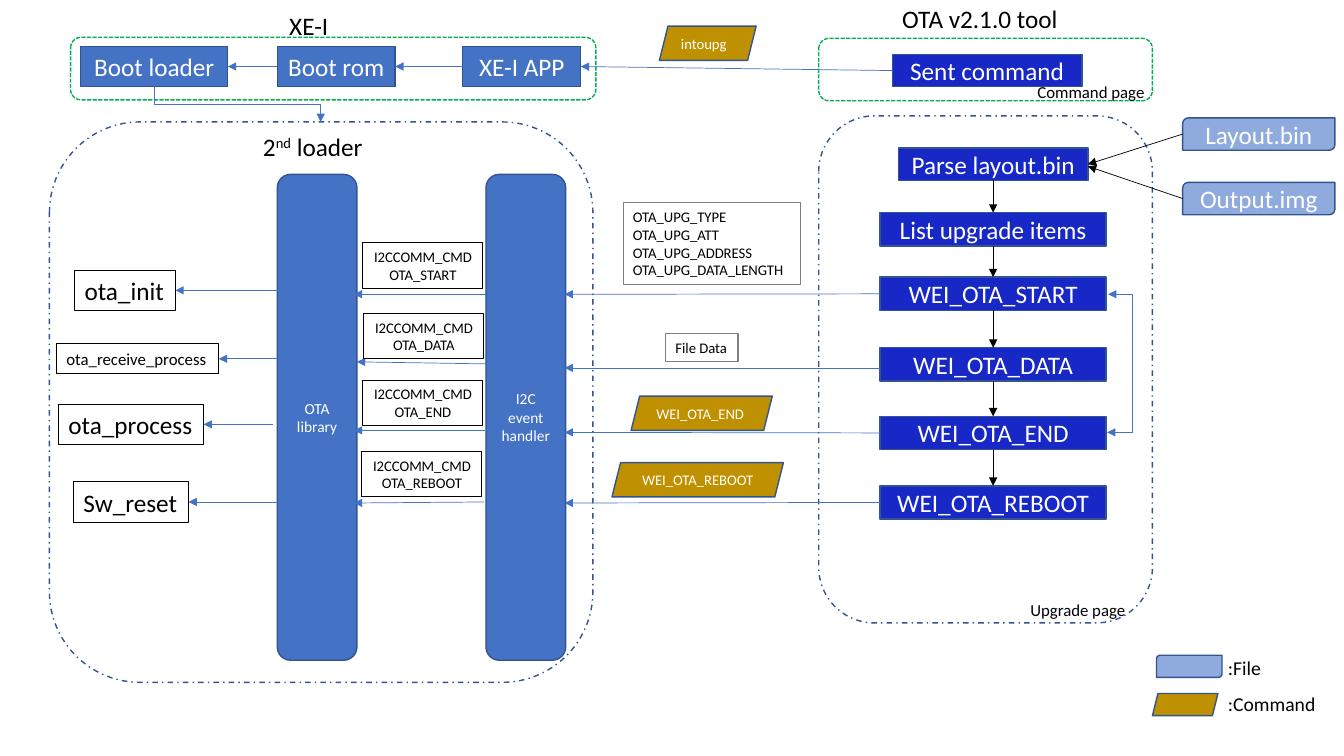
import lxml.etree
import pptx
import pptx.dml.color
import pptx.enum.dml
import pptx.enum.shapes
import pptx.enum.text
import pptx.oxml.ns
import pptx.util

Inches, Pt, qn = pptx.util.Inches, pptx.util.Pt, pptx.oxml.ns.qn
KIND = pptx.enum.shapes.MSO_SHAPE
LINK = pptx.enum.shapes.MSO_CONNECTOR
DASH = pptx.enum.dml.MSO_LINE
ALIGN = pptx.enum.text.PP_ALIGN
ANCHOR = pptx.enum.text.MSO_ANCHOR
GROW = pptx.enum.text.MSO_AUTO_SIZE.SHAPE_TO_FIT_TEXT

BLUE, NAVY, BLACK, WHITE, GRAY = "4472C4", "325491", "000000", "FFFFFF", "808080"
TOP, LEFT, BOTTOM, RIGHT = range(4)


def hue(code):
    return pptx.dml.color.RGBColor.from_string(code)


class Board:
    font = "Calibri"
    solid = {"word_wrap": True, "vertical_anchor": ANCHOR.MIDDLE}
    loose = {"word_wrap": False, "auto_size": GROW}

    def __init__(self, slide):
        self.shapes = slide.shapes

    def letter(self, shape, text, size, color, align, frame):
        """Fill a shape with text; parts between ^ marks are raised."""
        body = shape.text_frame
        for name, value in frame.items():
            setattr(body, name, value)
        for i, row in enumerate(text.split("\n")):
            para = body.add_paragraph() if i else body.paragraphs[0]
            para.alignment = align
            for j, part in enumerate(row.split("^")):
                run = para.add_run()
                run.text = part
                look = {"name": self.font, "size": Pt(size), "bold": False}
                for name, value in look.items():
                    setattr(run.font, name, value)
                run.font.color.rgb = hue(color)
                if j % 2:
                    run.font._element.set("baseline", "30000")

    def shape(self, kind, at, fill=None, edge=NAVY, width=1, dash=None):
        shape = self.shapes.add_shape(kind, *map(Inches, at))
        shape.shadow.inherit = False
        if fill:
            shape.fill.solid()
            shape.fill.fore_color.rgb = hue(fill)
        else:
            shape.fill.background()
        if edge:
            shape.line.color.rgb = hue(edge)
            shape.line.width = Pt(width)
            if dash:
                shape.line.dash_style = dash
        else:
            shape.line.fill.background()
        return shape

    def block(self, kind, at, fill, text, size=18, align=ALIGN.CENTER):
        shape = self.shape(kind, at, fill)
        self.letter(shape, text, size, WHITE, align, self.solid)
        return shape

    def note(self, at, text, size=18, edge=BLACK, fill=None, align=ALIGN.LEFT):
        shape = self.shape(KIND.RECTANGLE, at, fill, edge, 0.75)
        self.letter(shape, text, size, BLACK, align, self.loose)
        return shape

    def label(self, at, text, size=18):
        box = self.shapes.add_textbox(*map(Inches, at))
        self.letter(box, text, size, BLACK, ALIGN.LEFT, self.loose)

    def arrow(self, start, end, color=BLUE, kind=LINK.STRAIGHT, ends=("tailEnd",)):
        """Draw an arrow; each end is a point or a (shape, side) pair."""
        fixed = [isinstance(p[0], (int, float)) for p in (start, end)]
        spots = [p if f else (0, 0) for p, f in zip((start, end), fixed)]
        link = self.shapes.add_connector(kind, *map(Inches, spots[0] + spots[1]))
        if not fixed[0]:
            link.begin_connect(*start)
        if not fixed[1]:
            link.end_connect(*end)
        link.line.color.rgb = hue(color)
        link.line.width = Pt(0.5)
        for name in ends:
            tip = lxml.etree.SubElement(link.line._get_or_add_ln(), qn("a:" + name))
            tip.set("type", "triangle")
        lxml.etree.SubElement(link._element.spPr, qn("a:effectLst"))
        return link


def draw_tool(board):
    """Draw the tool on the right; return the boxes that send to the device."""
    board.shape(KIND.ROUNDED_RECTANGLE, (8.12, 1.15, 3.31, 5.03), dash=DASH.DASH_DOT)
    board.shape(KIND.ROUNDED_RECTANGLE, (8.12, 0.38, 3.31, 0.62),
                edge="00B050", dash=DASH.SQUARE_DOT)
    board.label((8.85, -0.02, 1.76, 0.4), "OTA v2.1.0 tool")

    deep = "1728C7"
    sent = board.block(KIND.RECTANGLE, (8.85, 0.54, 1.88, 0.32), deep, "Sent command")
    last = board.block(KIND.RECTANGLE, (8.91, 1.47, 1.88, 0.32), deep, "Parse layout.bin")
    for y, name, goal in ((1.17, "Layout.bin", (last, RIGHT)),
                          (1.81, "Output.img", (10.79, 1.65))):
        board.block(KIND.ROUND_2_DIAG_RECTANGLE, (11.73, y, 1.51, 0.32), "8FAADC", name)
        board.arrow((11.73, y + 0.16), goal, BLACK)

    steps = {}
    for y, name in ((2.11, "List upgrade items"), (2.75, "WEI_OTA_START"),
                    (3.45, "WEI_OTA_DATA"), (4.13, "WEI_OTA_END"),
                    (4.82, "WEI_OTA_REBOOT")):
        step = board.block(KIND.RECTANGLE, (8.73, y, 2.24, 0.33), deep, name)
        board.arrow((last, BOTTOM), (step, TOP), BLACK)
        steps[name] = last = step

    loop = board.arrow((10.98, 4.29), (10.99, 2.92), kind=LINK.ELBOW,
                       ends=("headEnd", "tailEnd"))
    bend = lxml.etree.SubElement(loop._element.spPr.find(".//" + qn("a:avLst")), qn("a:gd"))
    bend.set("name", "adj1")
    bend.set("fmla", "val 2500000")

    board.label((10.19, 0.76, 1.28, 0.3), "Command page", 12)
    board.label((10.12, 5.9, 1.15, 0.3), "Upgrade page", 12)
    return sent, steps


def draw_device(board, sent):
    """Draw the boot chain and the second loader on the left."""
    board.shape(KIND.ROUNDED_RECTANGLE, (0.49, 1.21, 5.39, 5.56), dash=DASH.DASH_DOT)
    board.shape(KIND.ROUNDED_RECTANGLE, (0.7, 0.37, 5.21, 0.62),
                edge="00B050", dash=DASH.SQUARE_DOT)
    board.label((2.77, 0.05, 0.75, 0.4), "XE-I")
    board.note((2.51, 1.25, 1.22, 0.4), "2^nd^ loader", edge=None, fill=WHITE)

    last = sent
    for x, width, name in ((4.59, 1.17, "XE-I APP"), (2.75, 1.17, "Boot rom"),
                           (0.8, 1.46, "Boot loader")):
        stage = board.block(KIND.RECTANGLE, (x, 0.46, width, 0.4), BLUE, name)
        board.arrow((last, LEFT), (stage, RIGHT))
        last = stage
    # The elbow leaves downwards, so its frame is turned by 270 degrees.
    drop = board.arrow((2.53, 0.21), (2.18, 1.86), kind=LINK.ELBOW)
    drop._element.spPr.find(qn("a:xfrm")).set("rot", str(270 * 60000))

    for x, name in ((2.75, "OTA\nlibrary"), (4.82, "I2C event handler")):
        board.block(KIND.ROUNDED_RECTANGLE, (x, 1.73, 0.79, 4.82), BLUE, name, 11)

    for x, y, width, height, name, size, start in (
            (0.74, 2.68, 1, 0.4, "ota_init", 18, 2.77),
            (0.56, 3.41, 1.61, 0.3, "ota_receive_process", 12, 2.75),
            (0.58, 4.01, 1.44, 0.4, "ota_process", 18, 2.71),
            (0.73, 4.78, 1.14, 0.4, "Sw_reset", 18, 2.75)):
        call = board.note((x, y, width, height), name, size)
        board.arrow((start, y + height / 2), (call, RIGHT))

    for x, y, name, start, end in (
            (3.6, 2.41, "START", (4.82, 2.92), (3.51, 2.92)),
            (3.61, 3.11, "DATA", (4.82, 3.61), (3.54, 3.59)),
            (3.6, 3.77, "END", (4.81, 4.27), (3.51, 4.27)),
            (3.59, 4.48, "REBOOT", (4.8, 4.98), (3.51, 4.99))):
        board.arrow(start, end)
        board.note((x, y, 1.19, 0.45), "I2CCOMM_CMD\nOTA_" + name, 10.5,
                   align=ALIGN.CENTER)


def draw_traffic(board, steps):
    """Draw what passes between the tool and the device."""
    for name, y in (("START", 2.92), ("END", 4.29), ("REBOOT", 4.99)):
        board.arrow((steps["WEI_OTA_" + name], LEFT), (5.6, y))
    board.arrow((8.73, 3.65), (5.6, 3.65))

    fields = "OTA_UPG_TYPE\nOTA_UPG_ATT\nOTA_UPG_ADDRESS\nOTA_UPG_DATA_LENGTH"
    board.note((6.18, 2.01, 1.76, 0.81), fields, 10.5, GRAY)
    board.note((6.6, 3.31, 0.72, 0.28), "File Data", 10.5, GRAY)
    for x, y, width, name, align in ((6.54, 0.26, 0.96, "intoupg", ALIGN.LEFT),
                                     (6.26, 3.93, 1.4, "WEI_OTA_END", ALIGN.LEFT),
                                     (6.07, 4.59, 1.7, "WEI_OTA_REBOOT", ALIGN.CENTER)):
        board.block(KIND.PARALLELOGRAM, (x, y, width, 0.34), "BF9000", name, 10.5, align)


def draw_legend(board):
    board.shape(KIND.ROUND_2_DIAG_RECTANGLE, (11.47, 6.5, 0.65, 0.22), "8FAADC")
    board.label((12.08, 6.46, 0.53, 0.34), ":File", 14)
    board.shape(KIND.PARALLELOGRAM, (11.43, 6.88, 0.65, 0.22), "BF9000")
    board.label((12.08, 6.82, 1.08, 0.34), ":Command", 14)


def main():
    deck = pptx.Presentation()
    deck.slide_width, deck.slide_height = Inches(13.33), Inches(7.5)
    board = Board(deck.slides.add_slide(deck.slide_layouts[6]))
    sent, steps = draw_tool(board)
    draw_device(board, sent)
    draw_traffic(board, steps)
    draw_legend(board)
    deck.save("out.pptx")


if __name__ == "__main__":
    main()
